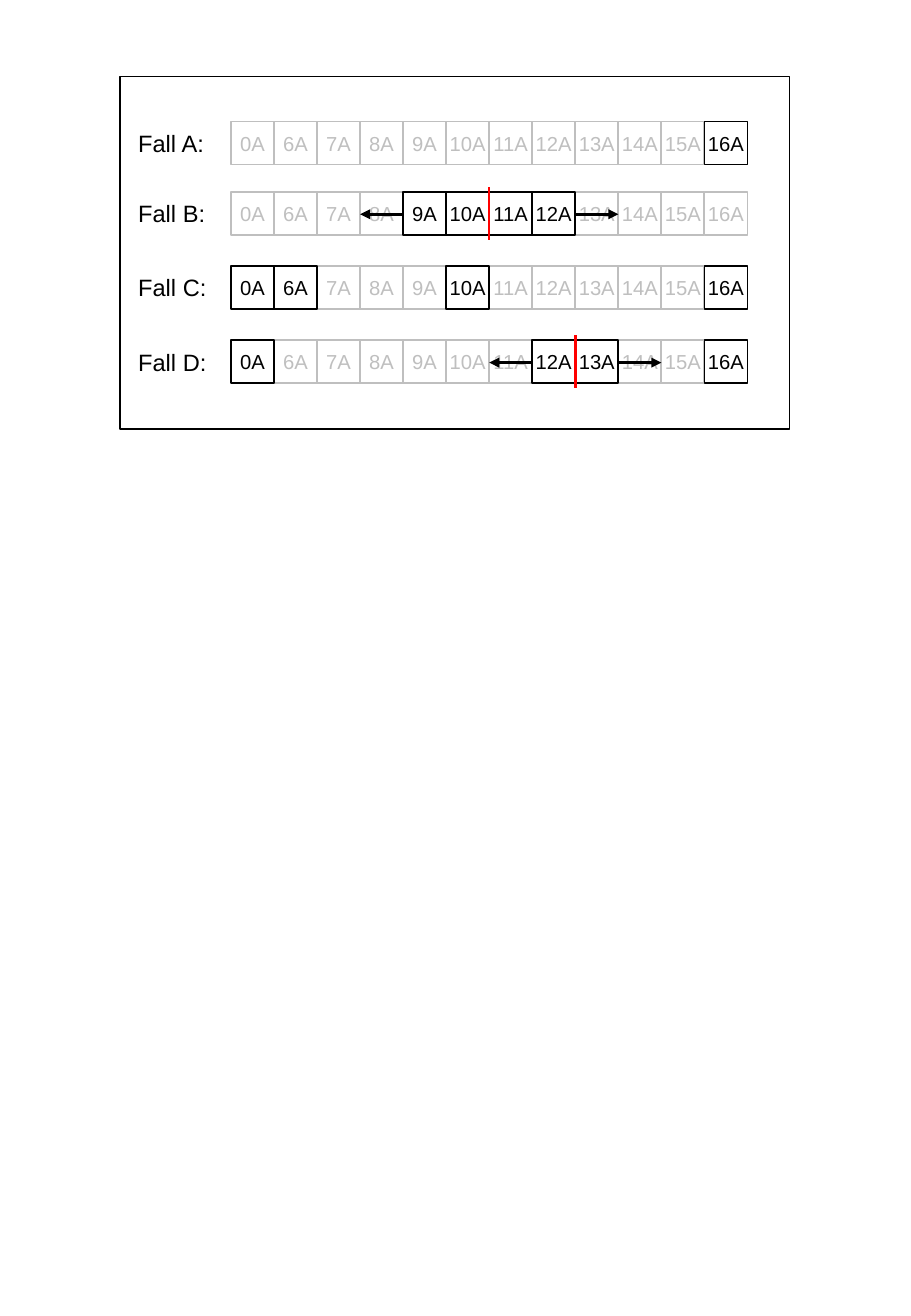
from lxml.etree import SubElement
from pptx import Presentation
from pptx.dml.color import RGBColor
from pptx.enum.shapes import MSO_CONNECTOR, MSO_SHAPE
from pptx.enum.text import MSO_ANCHOR, PP_ALIGN
from pptx.oxml.ns import qn
from pptx.util import Cm, Pt

COLORS = {"active": "000000", "inactive": "BFBFBF", "marker": "FF0000"}
FONT = "Arial"
STEPS = ["0A"] + [f"{number}A" for number in range(6, 17)]
GRID_LEFT, CELL = 4.83, 0.9
CASES = [
    {"name": "A", "top": 2.54, "active": ["16A"]},
    {"name": "B", "top": 4.01, "active": ["9A", "10A", "11A", "12A"],
     "center": 6, "reach": 2},
    {"name": "C", "top": 5.56, "active": ["0A", "6A", "10A", "16A"]},
    {"name": "D", "top": 7.11, "active": ["0A", "12A", "13A", "16A"],
     "center": 8, "reach": 1},
]
CELL_TEXT = {"margin_left": 0, "margin_right": 0, "margin_top": 0,
             "margin_bottom": 0, "word_wrap": False,
             "vertical_anchor": MSO_ANCHOR.MIDDLE}
LABEL_TEXT = {"word_wrap": True, "vertical_anchor": MSO_ANCHOR.TOP}


def apply_format(target, settings):
    """Set every attribute listed in settings on target."""
    for attribute, value in settings.items():
        setattr(target, attribute, value)


def color(role):
    """Return the colour that belongs to a role."""
    return RGBColor.from_string(COLORS[role])


def write(frame, text, size, role, align, layout):
    """Put one formatted paragraph into a text frame."""
    apply_format(frame, layout)
    paragraph = frame.paragraphs[0]
    paragraph.alignment = align
    run = paragraph.add_run()
    apply_format(run, {"text": text})
    apply_format(run.font, {"name": FONT, "size": Pt(size)})
    run.font.color.rgb = color(role)


def add_box(shapes, left, top, width, height, role):
    """Add an unfilled outlined rectangle."""
    box = shapes.add_shape(MSO_SHAPE.RECTANGLE, Cm(left), Cm(top),
                           Cm(width), Cm(height))
    box.shadow.inherit = False
    box.fill.background()
    box.line.color.rgb = color(role)
    box.line.width = Pt(1)
    return box


def add_line(shapes, start, end, role, arrow=False):
    """Add a straight line, with an arrowhead at its end if wanted."""
    points = [Cm(length) for length in (*start, *end)]
    line = shapes.add_connector(MSO_CONNECTOR.STRAIGHT, *points)
    line.line.color.rgb = color(role)
    line.line.width = Pt(1.5)
    if arrow:
        SubElement(line.line._get_or_add_ln(), qn("a:tailEnd"), type="triangle")
    SubElement(line._element.spPr, qn("a:effectLst"))


def add_label(shapes, case):
    """Add the caption to the left of a case row."""
    label = shapes.add_textbox(Cm(2.64), Cm(case["top"] + 0.03), Cm(2.11), Cm(0.86))
    write(label.text_frame, f"Fall {case['name']}:", 14, "active",
          PP_ALIGN.LEFT, LABEL_TEXT)


def add_cells(shapes, case):
    """Add the row of steps, with active cells above inactive ones."""
    for column, step in sorted(enumerate(STEPS),
                               key=lambda item: item[1] in case["active"]):
        role = "active" if step in case["active"] else "inactive"
        cell = add_box(shapes, GRID_LEFT + column * CELL, case["top"],
                       CELL, CELL, role)
        write(cell.text_frame, step, 12, role, PP_ALIGN.CENTER, CELL_TEXT)


def add_spread(shapes, case):
    """Add the red marker and the arrows pointing away from it."""
    middle = case["top"] + 0.47
    center = GRID_LEFT + case["center"] * CELL
    for direction in (1, -1):
        start = center + direction * case["reach"] * CELL
        add_line(shapes, (start, middle), (start + direction * CELL, middle),
                 "active", arrow=True)
    add_line(shapes, (center, case["top"] + 1), (center, case["top"] - 0.1), "marker")


def main():
    """Build the slide with the four cases."""
    presentation = Presentation()
    apply_format(presentation, {"slide_width": Cm(19.05), "slide_height": Cm(27.51)})
    slide = presentation.slides.add_slide(presentation.slide_layouts[6])
    add_box(slide.shapes, 2.51, 1.6, 14, 7.37, "active")
    for case in CASES:
        add_label(slide.shapes, case)
        row = slide.shapes.add_group_shape().shapes
        add_cells(row, case)
        if "center" in case:
            add_spread(row, case)
    presentation.save("out.pptx")


main()
